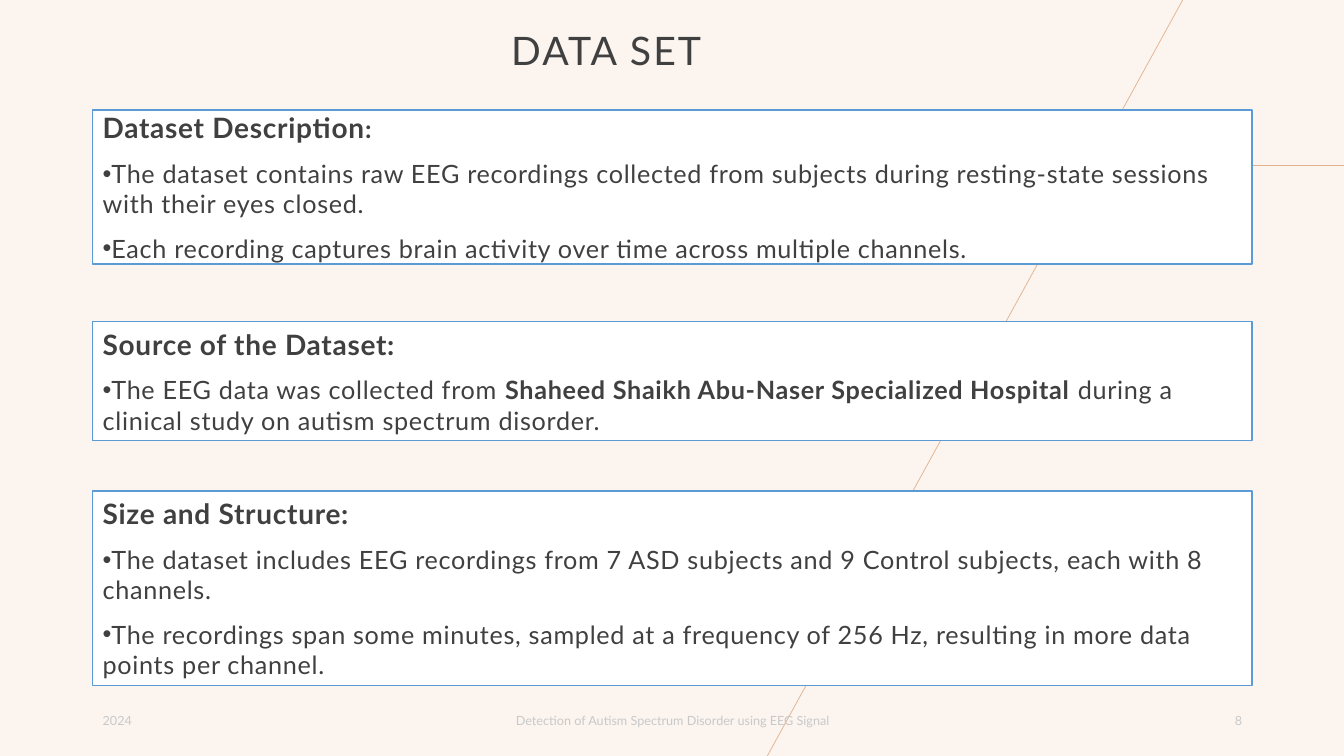
from lxml.etree import SubElement
from pptx import Presentation
from pptx.dml.color import RGBColor
from pptx.enum.shapes import MSO_CONNECTOR, MSO_SHAPE
from pptx.enum.text import MSO_ANCHOR, MSO_AUTO_SIZE, PP_ALIGN
from pptx.oxml.ns import qn
from pptx.util import Inches, Pt

CREAM = RGBColor(0xFB, 0xF4, 0xEF)
TAN = RGBColor(0xE2, 0xB1, 0x8D)
BLUE = RGBColor(0x5B, 0x9B, 0xD5)
WHITE = RGBColor(0xFF, 0xFF, 0xFF)
CHARCOAL = RGBColor(0x40, 0x40, 0x40)
SILVER = RGBColor(0xC9, 0xC9, 0xC9)

MARGIN = 0.92
CARD_WIDTH = 11.5

# Each card: top, height, vertical inset, paragraphs.
# The first paragraph is the heading; each run is (text, size, bold).
CARDS = [
    (1.09, 1.53, 0, [
        [("Dataset Description", 20, True), (":", 18, True)],
        [("The dataset contains raw EEG recordings collected from subjects "
          "during resting-state sessions with their eyes closed.", 18, False)],
        [("Each recording captures brain activity over time across "
          "multiple channels.", 18, False)],
    ]),
    (3.19, 1.18, 0.05, [
        [("Source of the Dataset:", 20, True)],
        [("The EEG data was collected from ", 18, False),
         ("Shaheed Shaikh Abu-Naser Specialized Hospital", 18, True),
         (" during a clinical study on autism spectrum disorder.", 18, False)],
    ]),
    (4.87, 1.93, 0.05, [
        [("Size and Structure:", 20, True)],
        [("The dataset includes EEG recordings from 7 ASD subjects and "
          "9 Control subjects, each with 8 channels.", 18, False)],
        [("The recordings span some minutes, sampled at a frequency of 256 Hz, "
          "resulting in more data points per channel.", 18, False)],
    ]),
]

FOOTERS = [
    (MARGIN, 3, PP_ALIGN.LEFT, "2024"),
    (4.42, 4.5, PP_ALIGN.CENTER,
     "Detection of Autism Spectrum Disorder using EEG Signal"),
    (9.42, 3, PP_ALIGN.RIGHT, "8"),
]


class SlideBuilder:
    font = "Lato"

    def __init__(self, deck):
        self.page = deck.slides.add_slide(deck.slide_layouts[5])
        background = self.page.background.fill
        background.solid()
        background.fore_color.rgb = CREAM

    def add_run(self, para, text, size, color, bold=False, spacing=0):
        """Append a styled run; spacing is letter spacing in points."""
        span = para.add_run()
        span.text = text
        span.font.name = self.font
        span.font.size = Pt(size)
        span.font.bold = bold
        span.font.color.rgb = color
        if spacing:
            span.font._element.set("spc", str(round(spacing * 100)))

    def set_frame(self, box, anchor, inset=0.05):
        frame = box.text_frame
        frame.word_wrap = True
        frame.auto_size = MSO_AUTO_SIZE.NONE
        frame.vertical_anchor = anchor
        frame.margin_left = frame.margin_right = Inches(0.1)
        frame.margin_top = frame.margin_bottom = Inches(inset)
        return frame

    def line(self, start, end):
        connector = self.page.shapes.add_connector(
            MSO_CONNECTOR.STRAIGHT, *map(Inches, start + end))
        connector.line.color.rgb = TAN
        connector.line.width = Pt(0.5)
        SubElement(connector._element.spPr, qn("a:effectLst"))

    def title(self, text, left, top, width, height):
        box = self.page.shapes.title
        box.left, box.top = Inches(left), Inches(top)
        box.width, box.height = Inches(width), Inches(height)
        para = self.set_frame(box, MSO_ANCHOR.BOTTOM).paragraphs[0]
        para.alignment = PP_ALIGN.LEFT
        para.line_spacing = 1.1
        self.add_run(para, text, 28, CHARCOAL, spacing=1.5)

    def footer(self, left, width, alignment, text):
        box = self.page.shapes.add_textbox(
            Inches(left), Inches(6.95), Inches(width), Inches(0.4))
        para = self.set_frame(box, MSO_ANCHOR.MIDDLE).paragraphs[0]
        para.alignment = alignment
        self.add_run(para, text, 9, SILVER)

    def card(self, top, height, inset, paragraphs):
        """Outlined box with a heading followed by bulleted paragraphs."""
        box = self.page.shapes.add_shape(
            MSO_SHAPE.RECTANGLE, Inches(MARGIN), Inches(top),
            Inches(CARD_WIDTH), Inches(height))
        box.shadow.inherit = False
        box.fill.solid()
        box.fill.fore_color.rgb = WHITE
        box.line.color.rgb = BLUE
        box.line.width = Pt(1)
        frame = self.set_frame(box, MSO_ANCHOR.MIDDLE, inset)
        for index, runs in enumerate(paragraphs):
            para = frame.add_paragraph() if index else frame.paragraphs[0]
            para.alignment = PP_ALIGN.LEFT
            para.space_before = Pt(10)
            if index:
                self.add_bullet(para)
            for text, size, bold in runs:
                self.add_run(para, text, size, CHARCOAL, bold, spacing=0.5)

    def add_bullet(self, para):
        properties = para._p.get_or_add_pPr()
        properties.set("marL", "0")
        properties.set("indent", "0")
        SubElement(properties, qn("a:buFont"), typeface="Arial")
        SubElement(properties, qn("a:buChar"), char="•")


def main():
    deck = Presentation()
    deck.slide_width, deck.slide_height = Inches(13.33), Inches(7.5)
    builder = SlideBuilder(deck)
    builder.line((9.95, 1.64), (13.33, 1.64))
    builder.line((11.73, 0), (7.61, 7.5))
    builder.title("DATA SET", 4.97, 0.14, 5.7, 0.64)
    for footer in FOOTERS:
        builder.footer(*footer)
    for card in CARDS:
        builder.card(*card)
    deck.save("out.pptx")


if __name__ == "__main__":
    main()
